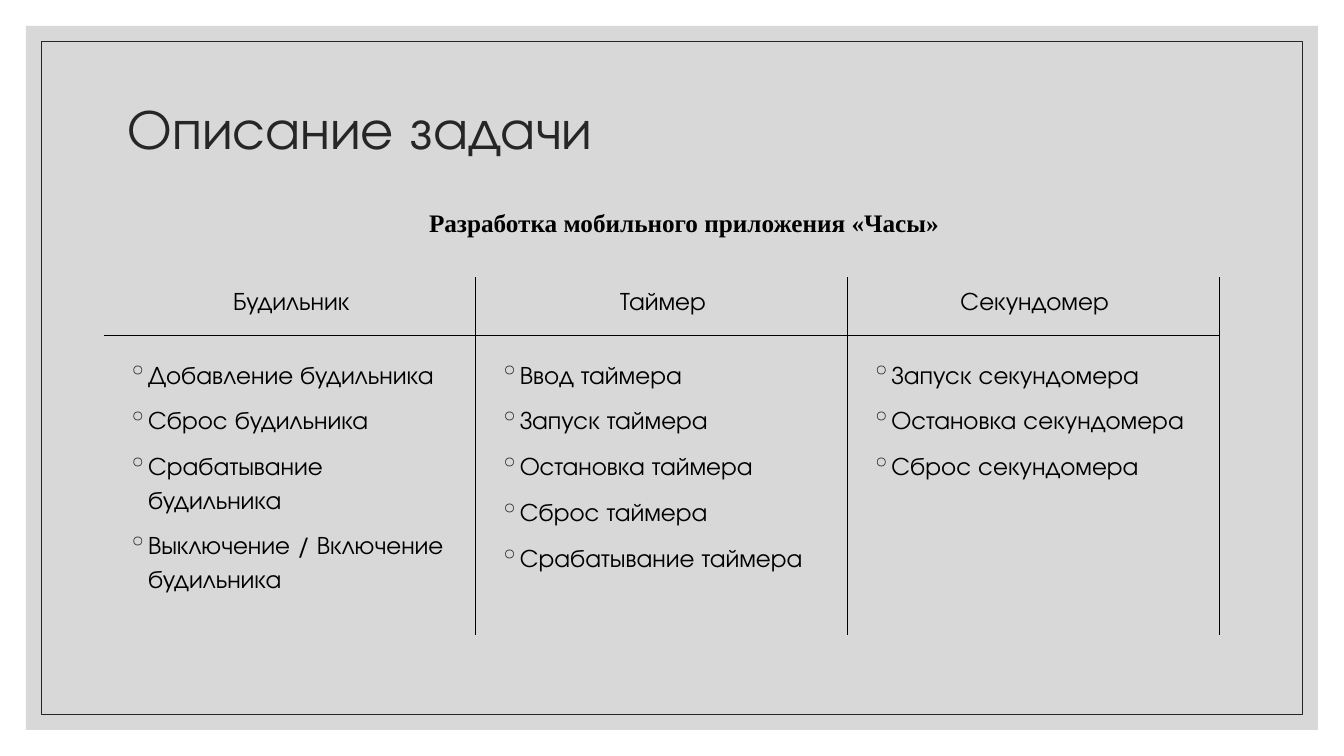
"""Build the task description slide: three columns of clock app features."""
from dataclasses import dataclass

from lxml.etree import SubElement
from pptx import Presentation
from pptx.dml.color import RGBColor
from pptx.enum.shapes import MSO_CONNECTOR, MSO_SHAPE
from pptx.enum.text import MSO_ANCHOR, MSO_AUTO_SIZE, PP_ALIGN
from pptx.oxml.ns import qn
from pptx.util import Pt

TITLE = "Описание задачи"
SUBTITLE = "Разработка мобильного приложения «Часы»"
COLUMNS = [
    ("Будильник", ["Добавление будильника", "Сброс будильника",
                   "Срабатывание будильника", "Выключение / Включение будильника"]),
    ("Таймер", ["Ввод таймера", "Запуск таймера", "Остановка таймера",
                "Сброс таймера", "Срабатывание таймера"]),
    ("Секундомер", ["Запуск секундомера", "Остановка секундомера", "Сброс секундомера"]),
]


@dataclass(frozen=True)
class Theme:
    """Colours, fonts and type sizes of the slide."""
    panel: str = "BFBFBF"
    panel_alpha: int = 60
    dark: str = "262626"
    text: str = "000000"
    font: str = "TeX Gyre Adventor"
    subtitle_font: str = "Times New Roman"
    title_size: int = 40
    body_size: int = 18
    line_width: float = 0.5


THEME = Theme()
PAGE_WIDTH, PAGE_HEIGHT = 960, 540
PANEL_MARGIN, FRAME_MARGIN = 18.6, 29.4
TABLE_LEFT, COLUMN_PITCH = 74.3, 265.5
TABLE_TOP, HEADER_RULE, TABLE_BOTTOM = 198, 239.2, 453.6
TEXT_INSET, TEXT_WIDTH = 10, 247.7
LIST_TOP, LIST_HEIGHT, HEADING_HEIGHT = 250.6, 210.2, 36.7
BULLET_INDENT = 14.4


def add_backdrop(page, margin):
    """Add a plain rectangle set in from every page edge by the margin."""
    shape = page.shapes.add_shape(
        MSO_SHAPE.RECTANGLE, Pt(margin), Pt(margin),
        Pt(PAGE_WIDTH - 2 * margin), Pt(PAGE_HEIGHT - 2 * margin))
    shape.shadow.inherit = False
    return shape


def add_panel(page):
    """Add the translucent grey panel."""
    panel = add_backdrop(page, PANEL_MARGIN)
    panel.fill.solid()
    panel.fill.fore_color.rgb = RGBColor.from_string(THEME.panel)
    panel.line.fill.background()
    color = panel.fill._xPr.find(qn("a:solidFill"))[0]
    SubElement(color, qn("a:alpha"), val=str(THEME.panel_alpha * 1000))


def add_frame(page):
    """Add the thin outline inside the panel."""
    frame = add_backdrop(page, FRAME_MARGIN)
    frame.fill.background()
    frame.line.color.rgb = RGBColor.from_string(THEME.dark)
    frame.line.width = Pt(THEME.line_width)


def add_span(para, text, size, color, font, bold=False):
    """Add one formatted run to a paragraph."""
    span = para.add_run()
    span.text = text
    span.font.size = Pt(size)
    span.font.name = font
    span.font.bold = bold
    span.font.color.rgb = RGBColor.from_string(color)


def add_bullet(para):
    """Give a paragraph a hanging round bullet."""
    properties = para._p.get_or_add_pPr()
    properties.set("marL", str(Pt(BULLET_INDENT)))
    properties.set("indent", str(-Pt(BULLET_INDENT)))
    color = SubElement(properties, qn("a:buClr"))
    SubElement(color, qn("a:srgbClr"), val=THEME.dark)
    SubElement(properties, qn("a:buChar"), char="◦")


def add_text(page, left, top, width, height, lines,
             font=THEME.font, bold=False, bulleted=False):
    """Add a text box holding a centred line or a bulleted list."""
    box = page.shapes.add_textbox(Pt(left), Pt(top), Pt(width), Pt(height))
    frame = box.text_frame
    frame.word_wrap = True
    for index, line in enumerate(lines):
        para = frame.add_paragraph() if index else frame.paragraphs[0]
        para.alignment = PP_ALIGN.LEFT if bulleted else PP_ALIGN.CENTER
        para.line_spacing = 1.1
        para.space_before = Pt(9)
        if bulleted:
            add_bullet(para)
        add_span(para, line, THEME.body_size, THEME.text, font, bold)


def add_rule(page, x1, y1, x2, y2):
    """Add a thin straight line."""
    rule = page.shapes.add_connector(
        MSO_CONNECTOR.STRAIGHT, Pt(x1), Pt(y1), Pt(x2), Pt(y2))
    rule.line.color.rgb = RGBColor.from_string(THEME.text)
    rule.line.width = Pt(THEME.line_width)
    SubElement(rule._element.spPr, qn("a:effectLst"))


def set_title(page):
    """Place and format the title above the backdrop."""
    title = page.shapes.title
    title.left, title.top, title.width, title.height = Pt(84.2), Pt(50.4), Pt(792), Pt(87.1)
    page.shapes._spTree.append(title._element)
    frame = title.text_frame
    frame.word_wrap = True
    frame.auto_size = MSO_AUTO_SIZE.NONE
    frame.vertical_anchor = MSO_ANCHOR.MIDDLE
    para = frame.paragraphs[0]
    para.alignment = PP_ALIGN.LEFT
    para.line_spacing = 0.9
    add_span(para, TITLE, THEME.title_size, THEME.dark, THEME.font)


def add_column(page, index, heading, features):
    """Add one column with its heading, list and rules."""
    left = TABLE_LEFT + index * COLUMN_PITCH
    right = left + COLUMN_PITCH
    text_left = left + TEXT_INSET
    add_text(page, text_left, TABLE_TOP, TEXT_WIDTH, HEADING_HEIGHT, [heading])
    add_text(page, text_left, LIST_TOP, TEXT_WIDTH, LIST_HEIGHT, features, bulleted=True)
    add_rule(page, right, TABLE_TOP, right, TABLE_BOTTOM)
    add_rule(page, left, HEADER_RULE, right, HEADER_RULE)


def main():
    """Build and save the deck."""
    deck = Presentation()
    deck.slide_width, deck.slide_height = Pt(PAGE_WIDTH), Pt(PAGE_HEIGHT)
    page = deck.slides.add_slide(deck.slide_layouts[5])
    add_panel(page)
    add_frame(page)
    set_title(page)
    add_text(page, 261.4, 142.6, 454.3, 31.7, [SUBTITLE], THEME.subtitle_font, bold=True)
    for index, (heading, features) in enumerate(COLUMNS):
        add_column(page, index, heading, features)
    deck.save("out.pptx")


if __name__ == "__main__":
    main()
